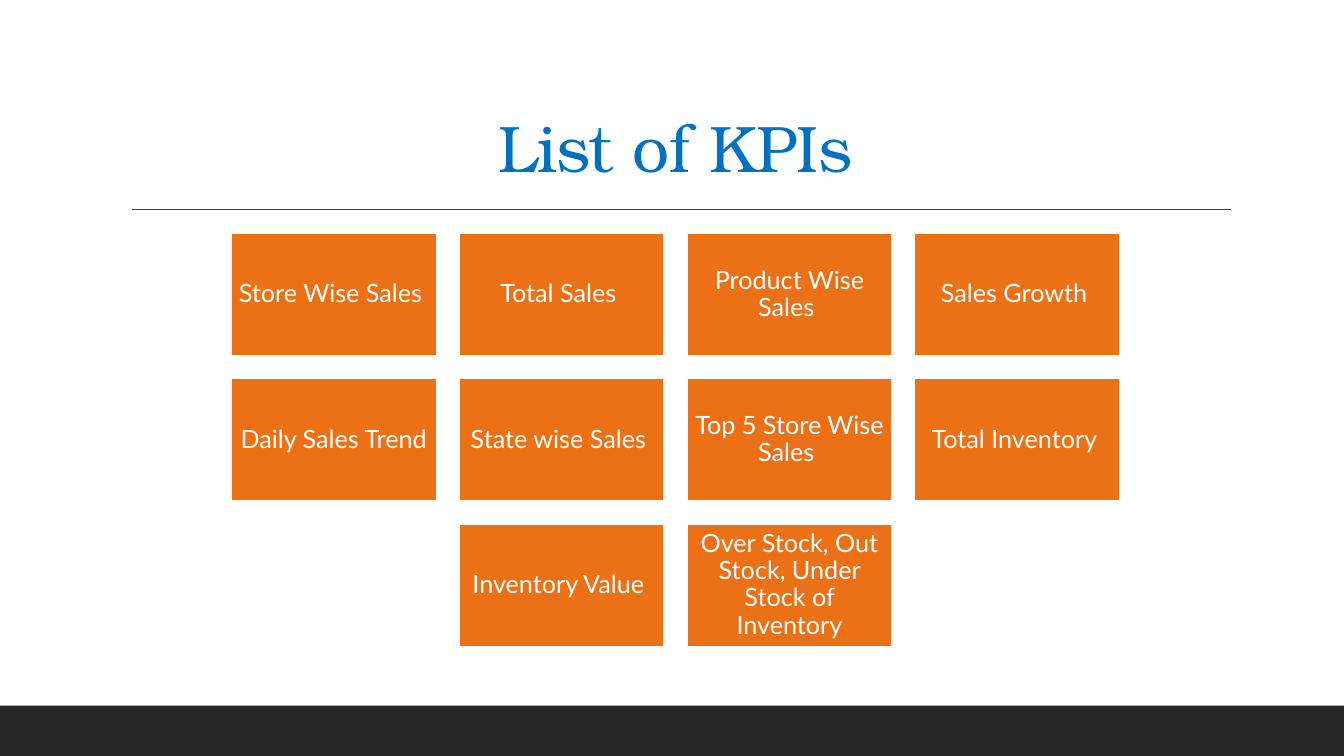
from lxml.etree import SubElement
from pptx import Presentation
from pptx.dml.color import RGBColor
from pptx.enum.shapes import MSO_CONNECTOR, MSO_SHAPE
from pptx.enum.text import MSO_ANCHOR, MSO_AUTO_SIZE, PP_ALIGN
from pptx.oxml.ns import qn
from pptx.util import Inches, Pt

# Content
TITLE = "List of KPIs"
KPI_ROWS = [
    ["Store Wise Sales ", "Total Sales ", "Product Wise Sales ", "Sales Growth "],
    ["Daily Sales Trend ", "State wise Sales ", "Top 5 Store Wise Sales ", "Total Inventory "],
    ["Inventory Value ", "Over Stock, Out Stock, Under Stock of Inventory"],
]

ORANGE = RGBColor(0xEC, 0x70, 0x16)
BLUE = RGBColor(0x00, 0x70, 0xC0)
WHITE = RGBColor(0xFF, 0xFF, 0xFF)
DARK = RGBColor(0x26, 0x26, 0x26)
GREY = RGBColor(0x40, 0x40, 0x40)

# Grid, in inches: every row is centred on the title
CENTER_X, GRID_TOP = 6.7, 2.31
CARD_W, CARD_H = 2.05, 1.23
PITCH_X, PITCH_Y = 2.26, 1.44


def add_rect(s, x, y, w, h, fill):
    sp = s.shapes.add_shape(MSO_SHAPE.RECTANGLE, Inches(x), Inches(y), Inches(w), Inches(h))
    sp.shadow.inherit = False
    sp.fill.solid()
    sp.fill.fore_color.rgb = fill
    sp.line.fill.background()
    return sp


def add_text(tf, text, font, size, color):
    p = tf.paragraphs[0]
    p.alignment = PP_ALIGN.CENTER
    p.line_spacing = 0.9
    r = p.add_run()
    r.text = text
    r.font.name = font
    r.font.size = Pt(size)
    r.font.color.rgb = color
    return r


def add_text_shadow(r):
    rPr = r.font._element
    effects = SubElement(rPr, qn("a:effectLst"))
    rPr.find(qn("a:solidFill")).addnext(effects)
    shadow = SubElement(effects, qn("a:outerShdw"), blurRad="38100", dist="38100", dir="2700000", algn="tl")
    color = SubElement(shadow, qn("a:srgbClr"), val="000000")
    SubElement(color, qn("a:alpha"), val="43000")


def add_card(s, x, y, text):
    sp = add_rect(s, x, y, CARD_W, CARD_H, ORANGE)
    sp.line.color.rgb = WHITE
    sp.line.width = Pt(2)
    tf = sp.text_frame
    tf.word_wrap = True
    tf.vertical_anchor = MSO_ANCHOR.MIDDLE
    tf.margin_left = tf.margin_right = tf.margin_top = tf.margin_bottom = Inches(0.07)
    add_text(tf, text, "Lato", 18, WHITE)


def main():
    prs = Presentation()
    prs.slide_width, prs.slide_height = Inches(13.33), Inches(7.5)
    s = prs.slides.add_slide(prs.slide_layouts[5])

    # Footer band and rule under the title
    add_rect(s, 0, 7, 13.33, 0.5, DARK)
    rule = s.shapes.add_connector(
        MSO_CONNECTOR.STRAIGHT, Inches(1.31), Inches(2.08), Inches(12.21), Inches(2.08))
    rule.line.color.rgb = GREY
    rule.line.width = Pt(1)
    SubElement(rule._element.spPr, qn("a:effectLst"))

    # Title
    title = s.shapes.title
    title.left, title.top = Inches(1.2), Inches(0.31)
    title.width, title.height = Inches(11), Inches(1.59)
    tf = title.text_frame
    tf.auto_size = MSO_AUTO_SIZE.NONE
    tf.word_wrap = True
    tf.vertical_anchor = MSO_ANCHOR.BOTTOM
    r = add_text(tf, TITLE, "TeX Gyre Bonum", 47, BLUE)
    r.font._element.set("spc", "-50")
    add_text_shadow(r)

    # KPI cards
    for i, row in enumerate(KPI_ROWS):
        row_w = (len(row) - 1) * PITCH_X + CARD_W
        for j, kpi in enumerate(row):
            add_card(s, CENTER_X - row_w / 2 + j * PITCH_X, GRID_TOP + i * PITCH_Y, kpi)

    prs.save("out.pptx")


if __name__ == "__main__":
    main()
